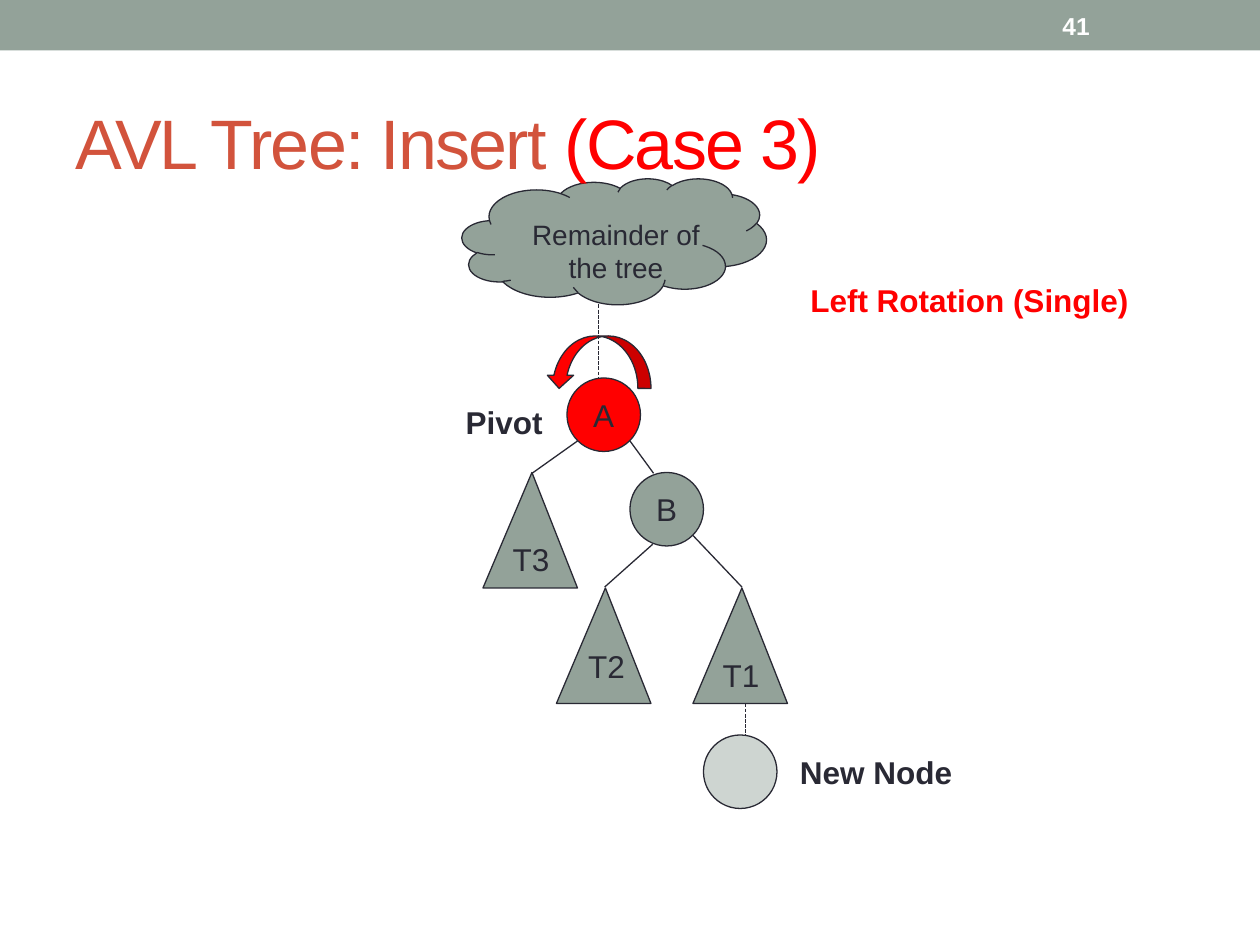
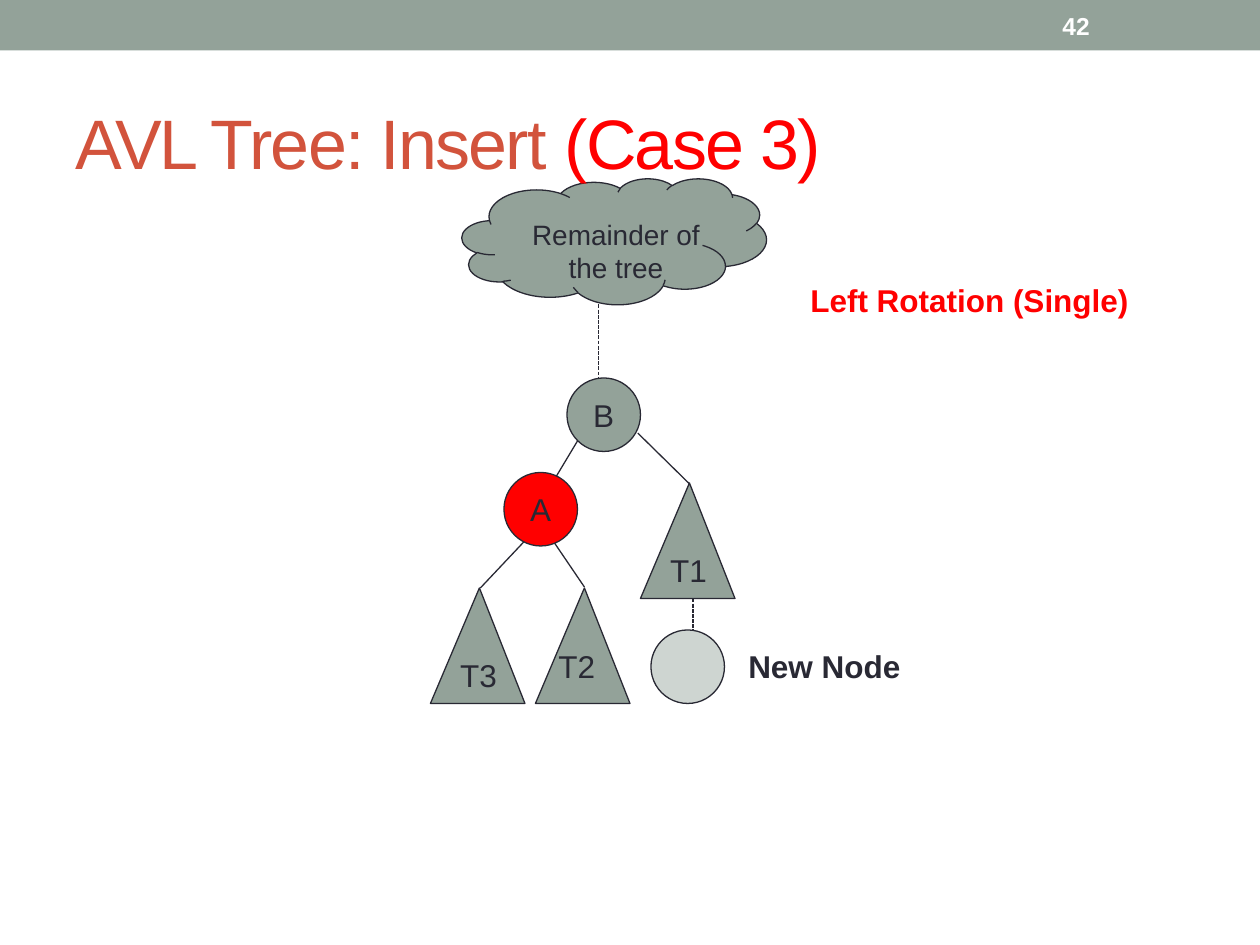
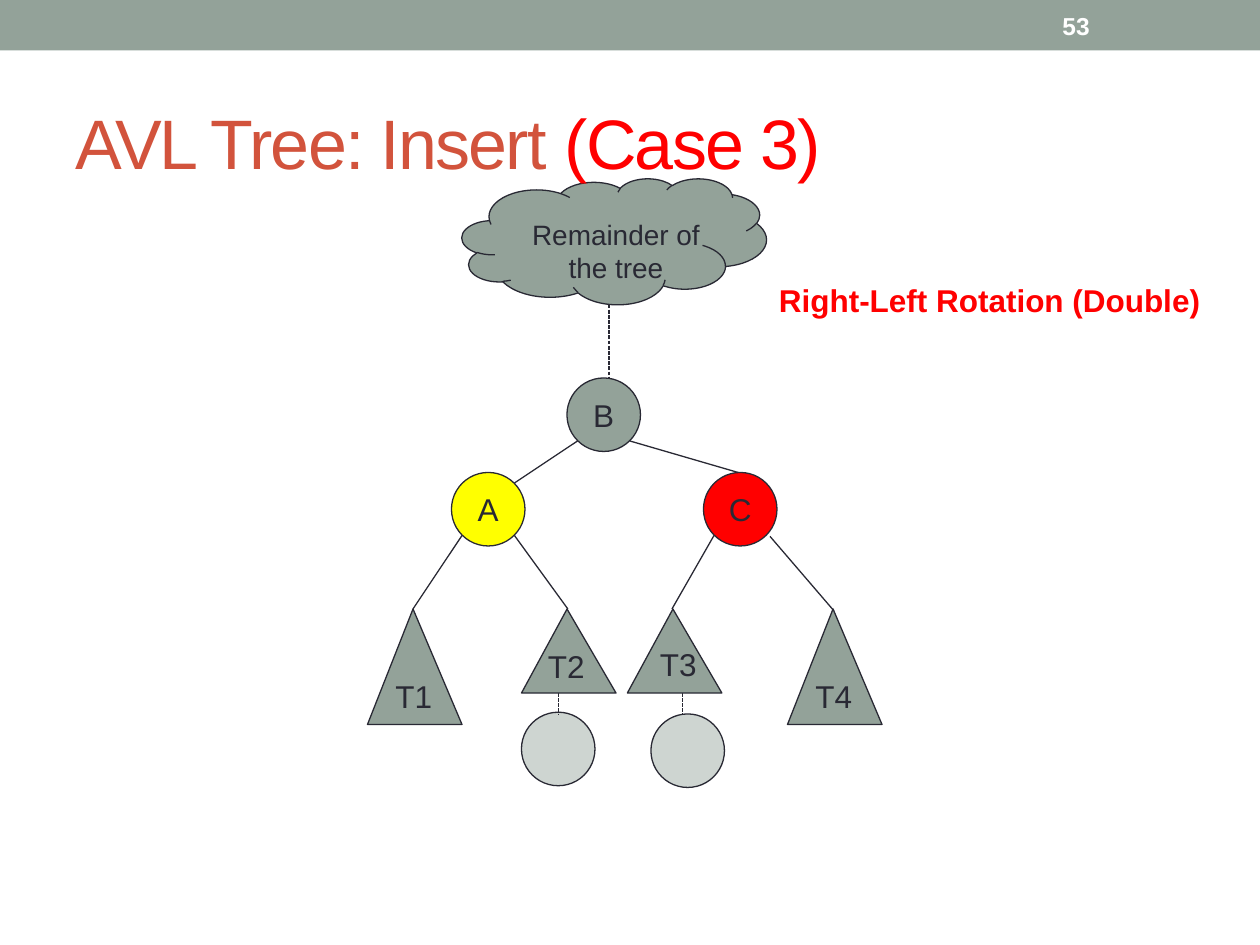
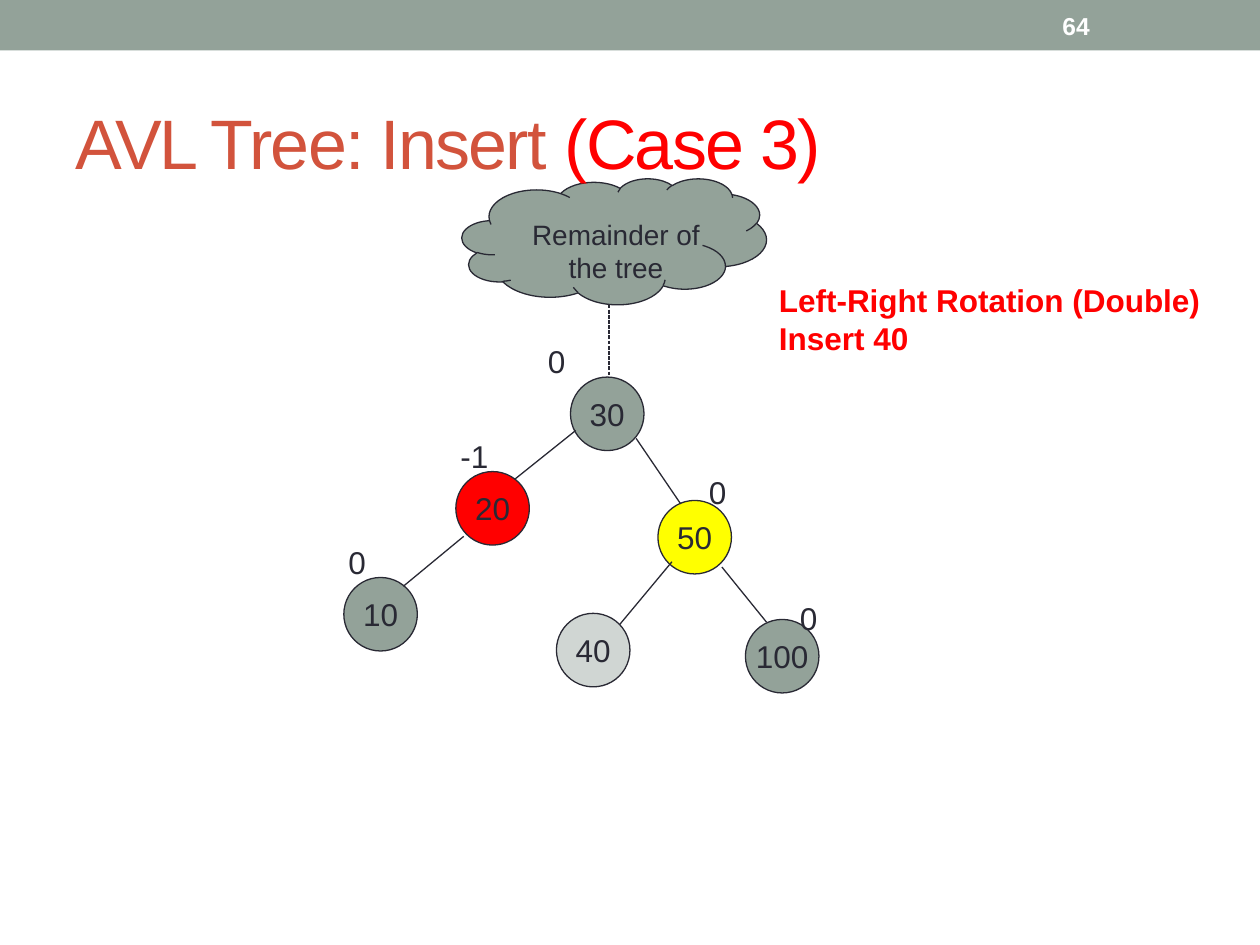
import pptx
import pptx.dml.color
import pptx.enum.dml
import pptx.enum.shapes
import pptx.enum.text
import pptx.oxml.ns
import pptx.util
from lxml import etree

Pt = pptx.util.Pt
SHAPES = pptx.enum.shapes.MSO_SHAPE
ANCHOR = pptx.enum.text.MSO_ANCHOR
ALIGN = pptx.enum.text.PP_ALIGN
qn = pptx.oxml.ns.qn

FONT = "Arial"
COLORS = {
    "sage": "93A299",
    "ink": "292934",
    "rust": "D2533C",
    "red": "FF0000",
    "yellow": "FFFF00",
    "white": "FFFFFF",
}
NODE = 42
SUBTREE_W, SUBTREE_H = 54, 66


def rgb(name):
    return pptx.dml.color.RGBColor.from_string(COLORS[name])


def add_run(paragraph, text, size, color="ink", bold=False):
    run = paragraph.add_run()
    run.text = text
    run.font.name = FONT
    run.font.size = Pt(size)
    run.font.bold = bold
    run.font.color.rgb = rgb(color)
    return run


def add_figure(slide, preset, left, top, width, height, fill="sage",
               opacity=None, outlined=True, flipped=False):
    figure = slide.shapes.add_shape(preset, Pt(left), Pt(top), Pt(width), Pt(height))
    figure.shadow.inherit = False
    figure.fill.solid()
    figure.fill.fore_color.rgb = rgb(fill)
    if opacity:
        tint = figure._element.spPr.find(qn("a:solidFill"))[0]
        etree.SubElement(tint, qn("a:alpha")).set("val", str(opacity * 1000))
    if outlined:
        figure.line.color.rgb = rgb("ink")
        figure.line.width = Pt(0.75)
    else:
        figure.line.fill.background()
    if flipped:
        figure._element.spPr.find(qn("a:xfrm")).set("flipH", "1")
    return figure


def add_caption(figure, caption):
    """Centre a short caption inside a node or subtree."""
    frame = figure.text_frame
    frame.word_wrap = False
    frame.vertical_anchor = ANCHOR.MIDDLE
    frame.paragraphs[0].alignment = ALIGN.CENTER
    add_run(frame.paragraphs[0], caption, 18)


def add_node(slide, left, top, caption="", fill="sage", opacity=None):
    node = add_figure(slide, SHAPES.OVAL, left, top, NODE, NODE, fill, opacity)
    if caption:
        add_caption(node, caption)


def add_new_node(slide, left, top):
    add_node(slide, left, top, opacity=45)


def add_subtree(slide, left, top, caption="", height=SUBTREE_H, flipped=True):
    subtree = add_figure(slide, SHAPES.ISOSCELES_TRIANGLE, left, top,
                         SUBTREE_W, height, flipped=flipped)
    subtree.adjustments[0] = 0.482
    if caption:
        add_caption(subtree, caption)


def add_edge(slide, x1, y1, x2, y2, dashed=False):
    edge = slide.shapes.add_connector(pptx.enum.shapes.MSO_CONNECTOR.STRAIGHT,
                                      Pt(x1), Pt(y1), Pt(x2), Pt(y2))
    edge.line.color.rgb = rgb("ink")
    edge.line.width = Pt(0.75)
    if dashed:
        edge.line.dash_style = pptx.enum.dml.MSO_LINE.SQUARE_DOT
    etree.SubElement(edge._element.spPr, qn("a:effectLst"))


def add_edges(slide, edges):
    for ends in edges:
        add_edge(slide, *ends)


def add_text(slide, left, top, width, height, wrap=True):
    frame = slide.shapes.add_textbox(Pt(left), Pt(top), Pt(width), Pt(height)).text_frame
    frame.word_wrap = wrap
    return frame


def add_label(slide, left, top, width, *lines, height=31, size=18, color="ink",
              bold=False, align=None, wrap=False):
    frame = add_text(slide, left, top, width, height, wrap)
    frame.auto_size = pptx.enum.text.MSO_AUTO_SIZE.SHAPE_TO_FIT_TEXT
    for index, line in enumerate(lines):
        paragraph = frame.add_paragraph() if index else frame.paragraphs[0]
        paragraph.alignment = align
        add_run(paragraph, line, size, color, bold)


def add_rotation(slide, left, width, *lines):
    add_label(slide, left, 157, width, *lines, height=7 + 22 * len(lines),
              color="red", bold=True)


def start_slide(deck, number, stem_x):
    """Add a slide with band, title, number, and the cloud with its stem."""
    slide = deck.slides.add_slide(deck.slide_layouts[6])
    add_figure(slide, SHAPES.RECTANGLE, 0, 0, 720, 28.8, outlined=False)
    add_figure(slide, SHAPES.CLOUD, 264, 102, 174, 72)

    title = add_text(slide, 36, 42, 648, 78)
    title.vertical_anchor = ANCHOR.MIDDLE
    for text, color in (("AVL Tree: Insert ", "rust"), ("(Case 3)", "red")):
        run = add_run(title.paragraphs[0], text, 40, color)
        run.font._element.set("spc", "-100")

    page = add_text(slide, 600, 1.5, 84, 26)
    page.vertical_anchor = ANCHOR.MIDDLE
    add_run(page.paragraphs[0], str(number), 14, "white", bold=True)

    add_label(slide, 290, 120.5, 124, "Remainder of", "the tree", height=46,
              size=16, align=ALIGN.CENTER, wrap=True)
    add_edge(slide, stem_x, 174, stem_x, 216, dashed=True)
    return slide


def build_before_left_rotation(deck):
    slide = start_slide(deck, 41, 342)
    add_rotation(slide, 456, 199, "Left Rotation (Single)")
    add_node(slide, 360, 270, "B")
    add_node(slide, 324, 216, "A", "red")
    add_subtree(slide, 276, 270, "T3")
    add_subtree(slide, 318, 336)
    add_subtree(slide, 396, 336, "T1")
    add_new_node(slide, 402, 420)
    add_edge(slide, 426, 402, 426, 420, dashed=True)
    add_label(slide, 450, 427, 101.5, "New Node", bold=True)
    add_label(slide, 329, 366, 36.7, "T2")
    add_edges(slide, [(360, 252, 373.5, 270.5), (330, 252, 304, 270.5),
                      (396, 306, 424, 335.5), (373, 311, 345.5, 335.5)])
    add_label(slide, 259, 227, 59, "Pivot", bold=True)
    add_figure(slide, SHAPES.CURVED_DOWN_ARROW, 312, 192, 60, 30, "red", flipped=True)


def build_after_left_rotation(deck):
    slide = start_slide(deck, 42, 342)
    add_rotation(slide, 456, 199, "Left Rotation (Single)")
    add_node(slide, 288, 270, "A", "red")
    add_node(slide, 324, 216, "B")
    add_subtree(slide, 246, 336, "T3")
    add_subtree(slide, 306, 336)
    add_subtree(slide, 366, 276, "T1")
    add_new_node(slide, 372, 360)
    add_edge(slide, 396, 342, 396, 360, dashed=True)
    add_label(slide, 420.5, 366, 101.5, "New Node", bold=True)
    add_label(slide, 312, 366, 36.7, "T2")
    add_edges(slide, [(330, 252, 318, 272), (364.5, 247.5, 394, 276.5),
                      (317, 310.5, 334, 335.5), (299.5, 309.5, 274.5, 336)])


def build_right_left_rotation(deck):
    slide = start_slide(deck, 53, 348)
    add_rotation(slide, 438, 265, "Right-Left Rotation (Double)")
    add_edge(slide, 390, 390, 390, 408, dashed=True)
    add_node(slide, 258, 270, "A", "yellow")
    add_node(slide, 324, 216, "B")
    for left, caption in ((450, "T4"), (210, "T1")):
        add_subtree(slide, left, 348, caption, flipped=False)
    add_new_node(slide, 298, 407)
    add_edge(slide, 319, 396, 319, 408, dashed=True)
    for left in (358.5, 298):
        add_subtree(slide, left, 348, height=48, flipped=False)
    add_label(slide, 306, 366, 36.7, "T2")
    add_label(slide, 370, 365, 36.7, "T3")
    add_edges(slide, [(330, 252, 294, 276), (360, 252, 423.5, 270.5),
                      (264, 306, 236, 348), (408, 306, 384, 348),
                      (294, 306, 324.5, 348), (440, 306.5, 476.5, 349)])
    add_node(slide, 402, 270, "C", "red")
    add_new_node(slide, 372, 408)


def build_left_right_rotation(deck):
    slide = start_slide(deck, 64, 348)
    add_rotation(slide, 438, 265, "Left-Right Rotation (Double)", "Insert 40")
    add_node(slide, 260.5, 269.5, "20", "red")
    add_node(slide, 326, 215.5, "30")
    add_node(slide, 376, 286, "50", "yellow")
    add_node(slide, 318, 350.5, "40", opacity=43)
    add_node(slide, 426, 354, "100")
    add_node(slide, 196.5, 330, "10")
    add_edges(slide, [(329, 246, 294, 274), (363.5, 250.5, 389, 288),
                      (384, 321, 354, 357), (412.5, 324, 438, 355.5),
                      (265, 306.5, 230.5, 335)])
    balances = [(256, 246, 37, "-1"), (306, 192, 26, "0"), (398, 266.5, 24.5, "0"),
                (450, 339, 24.5, "0"), (192, 306.5, 26, "0")]
    for left, top, width, balance in balances:
        add_label(slide, left, top, width, balance, height=29)


def main():
    deck = pptx.Presentation()
    deck.slide_width, deck.slide_height = Pt(720), Pt(540)
    build_before_left_rotation(deck)
    build_after_left_rotation(deck)
    build_right_left_rotation(deck)
    build_left_right_rotation(deck)
    deck.save("out.pptx")


if __name__ == "__main__":
    main()
